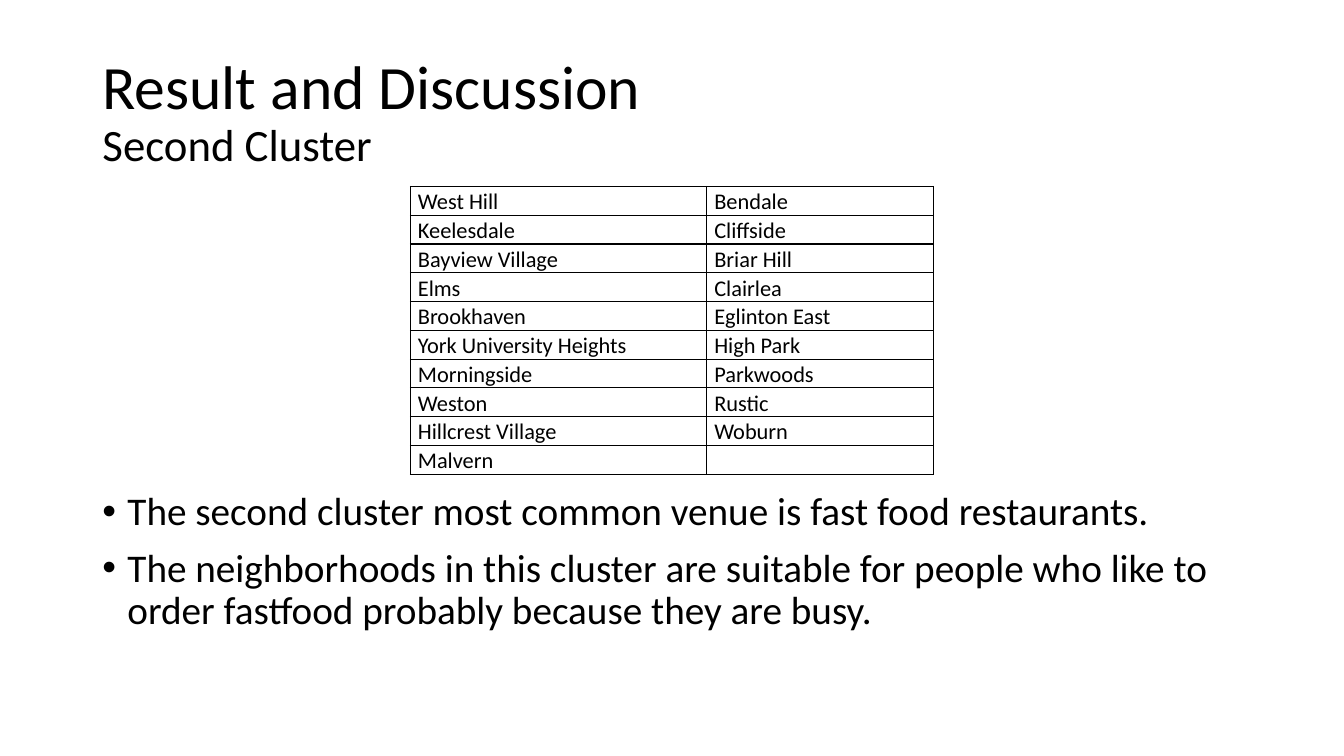
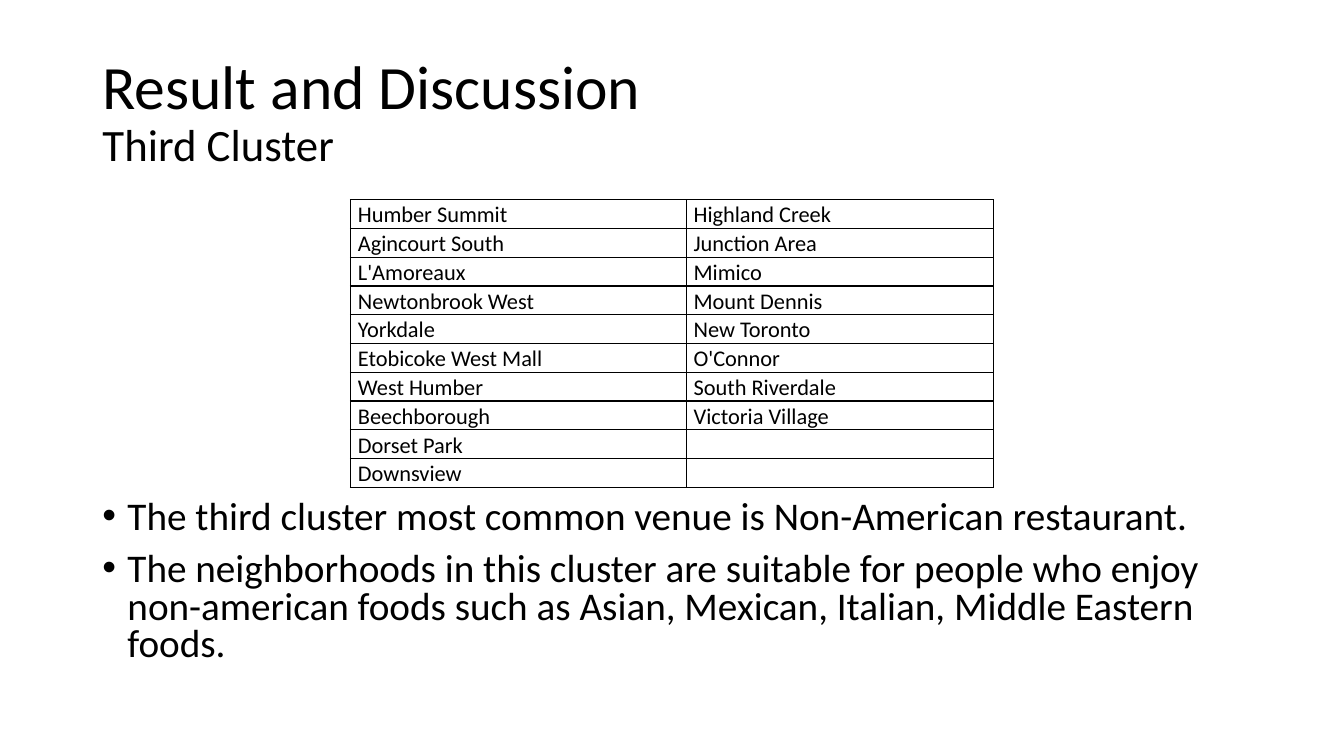
from dataclasses import dataclass
from itertools import zip_longest

from lxml.etree import SubElement
from pptx import Presentation
from pptx.dml.color import RGBColor
from pptx.enum.text import MSO_ANCHOR as Anchor, MSO_AUTO_SIZE as AutoSize, PP_ALIGN as Align
from pptx.oxml import parse_xml
from pptx.oxml.ns import nsdecls, qn
from pptx.util import Pt

HEADING = "Result and Discussion"
CLUSTERS = [
    {
        "name": "Second Cluster",
        "left_column": ["West Hill", "Keelesdale", "Bayview Village", "Elms", "Brookhaven",
                        "York University Heights", "Morningside", "Weston",
                        "Hillcrest Village", "Malvern"],
        "right_column": ["Bendale", "Cliffside", "Briar Hill", "Clairlea", "Eglinton East",
                         "High Park", "Parkwoods", "Rustic", "Woburn"],
        "column_widths": (211.7, 162),
        "table_top": 133.2,
        "findings": [
            "The second cluster most common venue is fast food restaurants.",
            "The neighborhoods in this cluster are suitable for people who like to order "
            "fastfood probably because they are busy.",
        ],
        "findings_top": 347.8,
        "line_spacing": 0.9,
    },
    {
        "name": "Third Cluster",
        "left_column": ["Humber Summit", "Agincourt South", "L'Amoreaux", "Newtonbrook West",
                        "Yorkdale", "Etobicoke West Mall", "West Humber", "Beechborough",
                        "Dorset Park", "Downsview"],
        "right_column": ["Highland Creek", "Junction Area", "Mimico", "Mount Dennis",
                         "New Toronto", "O'Connor", "South Riverdale", "Victoria Village"],
        "column_widths": (239.8, 219.6),
        "table_top": 142.6,
        "findings": [
            "The third cluster most common venue is Non-American restaurant.",
            "The neighborhoods in this cluster are suitable for people who enjoy non-american "
            "foods such as Asian, Mexican, Italian, Middle Eastern foods.",
        ],
        "findings_top": 354.2,
        "line_spacing": 0.8,
    },
]


@dataclass(frozen=True)
class Theme:
    font: str = "Calibri"
    ink: str = "000000"
    heading: int = 44
    subheading: int = 32
    body: int = 28
    cell: int = 16
    border: int = 1


THEME = Theme()
SLIDE_WIDTH, SLIDE_HEIGHT = 960, 540
MARGIN, CONTENT_WIDTH = 66, 828
TITLE_TOP, TITLE_HEIGHT = 28.75, 104.4
FINDINGS_BOTTOM = 486.7
ROW_HEIGHT, CELL_INSET = 19.66, 5.4
BULLET_INDENT = 18


def style(font, size):
    font.name = THEME.font
    font.size = Pt(size)
    font.color.rgb = RGBColor.from_string(THEME.ink)


def add_title(slide, name):
    title = slide.shapes.title
    title.left, title.top = Pt(MARGIN), Pt(TITLE_TOP)
    title.width, title.height = Pt(CONTENT_WIDTH), Pt(TITLE_HEIGHT)
    frame = title.text_frame
    frame.auto_size = AutoSize.NONE
    frame.vertical_anchor = Anchor.MIDDLE
    paragraph = frame.paragraphs[0]
    paragraph.alignment = Align.LEFT
    paragraph.line_spacing = 0.9
    style(paragraph.font, THEME.heading)
    for text, size in ((HEADING, THEME.heading), (name, THEME.subheading)):
        if paragraph.runs:
            paragraph.add_line_break()
        run = paragraph.add_run()
        run.text = text
        style(run.font, size)


def add_findings(slide, findings, top, line_spacing):
    box = slide.shapes.add_textbox(
        Pt(MARGIN), Pt(top), Pt(CONTENT_WIDTH), Pt(FINDINGS_BOTTOM - top))
    frame = box.text_frame
    frame.word_wrap = True
    for index, finding in enumerate(findings):
        paragraph = frame.add_paragraph() if index else frame.paragraphs[0]
        paragraph.text = finding
        paragraph.line_spacing = line_spacing
        paragraph.space_before = Pt(10)
        style(paragraph.font, THEME.body)
        properties = paragraph._p.get_or_add_pPr()
        properties.set("marL", str(Pt(BULLET_INDENT)))
        properties.set("indent", str(-Pt(BULLET_INDENT)))
        bullet_font = parse_xml(f'<a:buFont {nsdecls("a")} typeface="Arial"/>')
        bullet = parse_xml(f'<a:buChar {nsdecls("a")} char="•"/>')
        defaults = properties.find(qn("a:defRPr"))
        defaults.addprevious(bullet_font)
        defaults.addprevious(bullet)


def outline(cell):
    properties = cell._tc.get_or_add_tcPr()
    for position, side in enumerate(("lnL", "lnR", "lnT", "lnB")):
        line = parse_xml(f'<a:{side} {nsdecls("a")} w="{Pt(THEME.border)}"/>')
        fill = SubElement(line, qn("a:solidFill"))
        SubElement(fill, qn("a:srgbClr"), val=THEME.ink)
        properties.insert(position, line)


def fill_cell(cell, text):
    cell.fill.background()
    cell.vertical_anchor = Anchor.BOTTOM
    cell.margin_left = cell.margin_right = Pt(CELL_INSET)
    cell.margin_top = cell.margin_bottom = 0
    paragraph = cell.text_frame.paragraphs[0]
    paragraph.text = text
    paragraph.line_spacing = 1.07
    style(paragraph.font, THEME.cell)
    outline(cell)


def add_neighborhoods(slide, rows, widths, top):
    total = sum(widths)
    frame = slide.shapes.add_table(
        len(rows), len(widths), Pt((SLIDE_WIDTH - total) / 2), Pt(top),
        Pt(total), Pt(ROW_HEIGHT * len(rows)))
    table = frame.table
    table.first_row = table.horz_banding = False
    for column, width in zip(table.columns, widths):
        column.width = Pt(width)
    for table_row, names in zip(table.rows, rows):
        for cell, name in zip(table_row.cells, names):
            fill_cell(cell, name)


presentation = Presentation()
presentation.slide_width, presentation.slide_height = Pt(SLIDE_WIDTH), Pt(SLIDE_HEIGHT)
title_only = presentation.slide_layouts[5]
for cluster in CLUSTERS:
    slide = presentation.slides.add_slide(title_only)
    add_title(slide, cluster["name"])
    add_findings(slide, cluster["findings"], cluster["findings_top"], cluster["line_spacing"])
    rows = list(zip_longest(cluster["left_column"], cluster["right_column"], fillvalue=""))
    add_neighborhoods(slide, rows, cluster["column_widths"], cluster["table_top"])
presentation.save("out.pptx")
